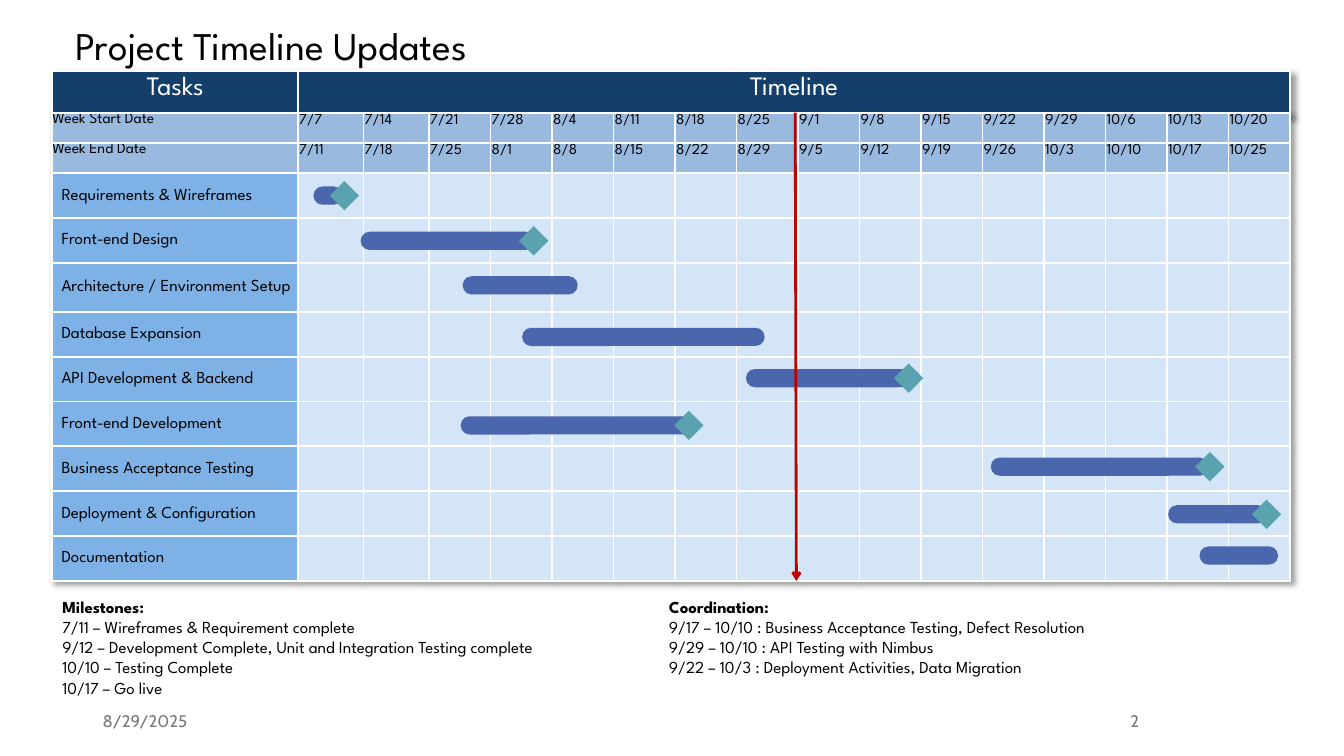
from itertools import accumulate

from lxml import etree
from pptx import Presentation
from pptx.dml.color import RGBColor
from pptx.enum.shapes import MSO_CONNECTOR, MSO_SHAPE
from pptx.enum.text import MSO_ANCHOR, MSO_AUTO_SIZE, PP_ALIGN
from pptx.oxml import parse_xml
from pptx.oxml.ns import nsdecls, qn
from pptx.util import Cm, Pt

WHITE = RGBColor(0xFF, 0xFF, 0xFF)
BLACK = RGBColor(0x00, 0x00, 0x00)
GRAY = RGBColor(0x79, 0x79, 0x79)
NAVY = RGBColor(0x14, 0x3F, 0x6A)
WEEK_BLUE = RGBColor(0x9A, 0xB9, 0xDE)
TASK_BLUE = RGBColor(0x7E, 0xB2, 0xE6)
PALE_BLUE = RGBColor(0xD4, 0xE5, 0xF7)
BAR_BLUE = RGBColor(0x4A, 0x66, 0xAC)
TEAL = RGBColor(0x5A, 0xA2, 0xAE)
RED = RGBColor(0xC0, 0x00, 0x00)

TASK_WIDTH = 6.19
WEEK_WIDTHS = [1.65] * 2 + [1.55] * 14
WEEK_HEIGHT = 0.76
BAR_HEIGHT = 0.46
DIAMOND_SIZE = 0.74

WEEK_STARTS = ("7/7 7/14 7/21 7/28 8/4 8/11 8/18 8/25 "
               "9/1 9/8 9/15 9/22 9/29 10/6 10/13 10/20").split()
WEEK_ENDS = ("7/11 7/18 7/25 8/1 8/8 8/15 8/22 8/29 "
             "9/5 9/12 9/19 9/26 10/3 10/10 10/17 10/25").split()

# Task, row height, then bar left, top, width and diamond left within the grid
TASKS = [
    ("Requirements & Wireframes", 1.13, 6.58, 1.86, 0.74, 6.99),
    ("Front-end Design", 1.13, 7.77, 3.00, 4.39, 11.76),
    ("Architecture / Environment Setup", 1.24, 10.34, 4.12, 2.90, None),
    ("Database Expansion", 1.13, 11.84, 5.42, 6.11, None),
    ("API Development & Backend", 1.13, 17.48, 6.46, 4.34, 21.21),
    ("Front-end Development", 1.13, 10.29, 7.65, 5.84, 15.67),
    ("Business Acceptance Testing", 1.13, 23.65, 8.69, 5.49, 28.80),
    ("Deployment & Configuration", 1.13, 28.12, 9.89, 2.49, 30.23),
    ("Documentation", 1.13, 28.91, 10.93, 1.98, None),
]
MILESTONES = [
    "Milestones:",
    "7/11 – Wireframes & Requirement complete",
    "9/12 – Development Complete, Unit and Integration Testing complete",
    "10/10 – Testing Complete",
    "10/17 – Go live",
]
COORDINATION = [
    "Coordination:",
    "9/17 – 10/10 : Business Acceptance Testing, Defect Resolution",
    "9/29 – 10/10 : API Testing with Nimbus",
    "9/22 – 10/3 : Deployment Activities, Data Migration",
]


def write(frame, *lines, size=12, font="League Spartan", color=BLACK, align=PP_ALIGN.LEFT,
          anchor=None, bold_first=False, line_spacing=None, space_after=0):
    frame.word_wrap = True
    if anchor is not None:
        frame.vertical_anchor = anchor
    for number, line in enumerate(lines):
        paragraph = frame.add_paragraph() if number else frame.paragraphs[0]
        paragraph.alignment = align
        paragraph.line_spacing = line_spacing
        paragraph.space_after = Pt(space_after)
        run = paragraph.add_run()
        run.text = line
        run.font.size = Pt(size)
        run.font.name = font
        run.font.color.rgb = color
        run.font.bold = bold_first and number == 0


def add_shadowed_table(slide, left, top, widths, heights):
    table = slide.shapes.add_table(len(heights), len(widths), Cm(left), Cm(top),
                                   Cm(sum(widths)), Cm(sum(heights))).table
    table.first_row = table.horz_banding = False
    for column, width in zip(table.columns, widths):
        column.width = Cm(width)
    for row, height in zip(table.rows, heights):
        row.height = Cm(height)
    table._tbl.tblPr.insert(0, parse_xml(
        f'<a:effectLst {nsdecls("a")}><a:outerShdw blurRad="50800" dist="38100" dir="2700000">'
        '<a:srgbClr val="000000"><a:alpha val="40000"/></a:srgbClr>'
        '</a:outerShdw></a:effectLst>'))
    return table


def format_cell(cell, fill, text="", inset=(0, 0, 0, 0), anchor=MSO_ANCHOR.TOP, **style):
    """Give a cell white borders, a fill and text; inset is left, top, right, bottom."""
    properties = cell._tc.get_or_add_tcPr()
    for side in "LRTB":
        properties.append(parse_xml(
            f'<a:ln{side} {nsdecls("a")} w="{Pt(1.5)}"><a:solidFill>'
            f'<a:srgbClr val="{WHITE}"/></a:solidFill></a:ln{side}>'))
    cell.fill.solid()
    cell.fill.fore_color.rgb = fill
    cell.margin_left, cell.margin_top, cell.margin_right, cell.margin_bottom = map(Cm, inset)
    cell.vertical_anchor = anchor
    if text:
        write(cell.text_frame, text, **style)


def add_filled_shape(slide, kind, left, top, width, height, fill):
    shape = slide.shapes.add_shape(kind, Cm(left), Cm(top), Cm(width), Cm(height))
    shape.shadow.inherit = False
    shape.fill.solid()
    shape.fill.fore_color.rgb = fill
    shape.line.fill.background()
    return shape


def add_text(slide, left, top, width, height, *lines, **style):
    box = slide.shapes.add_textbox(Cm(left), Cm(top), Cm(width), Cm(height))
    write(box.text_frame, *lines, **style)


def add_title(slide, left, top, width, height):
    title = slide.shapes.title
    title.left, title.top, title.width, title.height = map(Cm, (left, top, width, height))
    title.text_frame.auto_size = MSO_AUTO_SIZE.NONE
    write(title.text_frame, "Project Timeline Updates", size=28,
          anchor=MSO_ANCHOR.MIDDLE, line_spacing=0.9)


def add_heading(slide, left, top, height):
    table = add_shadowed_table(slide, left, top, [TASK_WIDTH, sum(WEEK_WIDTHS)], [height])
    for cell, heading in zip(table.rows[0].cells, ("Tasks", "Timeline")):
        format_cell(cell, NAVY, heading, inset=(0.28, 0.15, 0.28, 0.15),
                    size=19, color=WHITE, align=PP_ALIGN.CENTER)


def add_schedule_grid(slide, left, top):
    heights = [WEEK_HEIGHT] * 2 + [task[1] for task in TASKS]
    table = add_shadowed_table(slide, left, top, [TASK_WIDTH, *WEEK_WIDTHS], heights)
    week_rows = [["Week Start Date", *WEEK_STARTS], ["Week End Date", *WEEK_ENDS]]
    for row, texts in zip(table.rows, week_rows):
        for column, (cell, text) in enumerate(zip(row.cells, texts)):
            edge = 0.03 if column else 0
            format_cell(cell, WEEK_BLUE, text, inset=(edge, edge, edge, 0), size=11)
    for number, (name, *_) in enumerate(TASKS, start=len(week_rows)):
        label, *weeks = table.rows[number].cells
        format_cell(label, TASK_BLUE, name, inset=(0.23, 0.03, 0.03, 0),
                    anchor=MSO_ANCHOR.MIDDLE)
        for week in weeks:
            format_cell(week, PALE_BLUE)
    return list(accumulate(heights))[-1]


def add_bars(slide, left, top):
    for _, _, start, offset, length, diamond in TASKS:
        bar = add_filled_shape(slide, MSO_SHAPE.ROUNDED_RECTANGLE, left + start, top + offset,
                               length, BAR_HEIGHT, BAR_BLUE)
        bar.adjustments[0] = 0.49
        if diamond is not None:
            add_filled_shape(slide, MSO_SHAPE.FLOWCHART_DECISION, left + diamond,
                             top + offset - (DIAMOND_SIZE - BAR_HEIGHT) / 2,
                             DIAMOND_SIZE, DIAMOND_SIZE, TEAL)


def add_today_arrow(slide, x, top, height):
    arrow = slide.shapes.add_connector(MSO_CONNECTOR.STRAIGHT, Cm(x), Cm(top),
                                       Cm(x + 0.03), Cm(top + height))
    arrow.line.color.rgb = RED
    arrow.line.width = Pt(2)
    etree.SubElement(arrow.line._get_or_add_ln(), qn("a:tailEnd"), type="arrow")
    etree.SubElement(arrow._element.spPr, qn("a:effectLst"))


def add_notes_row(slide, left, top, height):
    milestones = add_filled_shape(slide, MSO_SHAPE.RECTANGLE, left, top, 15.04, height, WHITE)
    write(milestones.text_frame, *MILESTONES, anchor=MSO_ANCHOR.TOP, bold_first=True)
    add_text(slide, left + 15.29, top, 15.7, height, *COORDINATION, bold_first=True)


def add_footer(slide, top, height):
    style = dict(font="Cabin", color=GRAY, anchor=MSO_ANCHOR.MIDDLE, space_after=6)
    add_text(slide, 2.34, top, 7.62, height, "8/29/2025", **style)
    add_text(slide, 23.93, top, 5.03, height, "2", align=PP_ALIGN.RIGHT, **style)


def main():
    deck = Presentation()
    deck.slide_width, deck.slide_height = Cm(33.87), Cm(19.05)
    slide = deck.slides.add_slide(deck.slide_layouts[5])
    left, top = 1.32, 2.84
    add_title(slide, 1.65, 0.53, 29.21, 1.35)
    add_footer(slide, 17.65, 1.02)
    add_heading(slide, left, 1.78, 1.08)
    grid_height = add_schedule_grid(slide, left, top)
    add_bars(slide, left, top)
    add_notes_row(slide, left, 14.91, 2.82)
    add_today_arrow(slide, 20.04, top, grid_height)
    deck.save("out.pptx")


if __name__ == "__main__":
    main()
